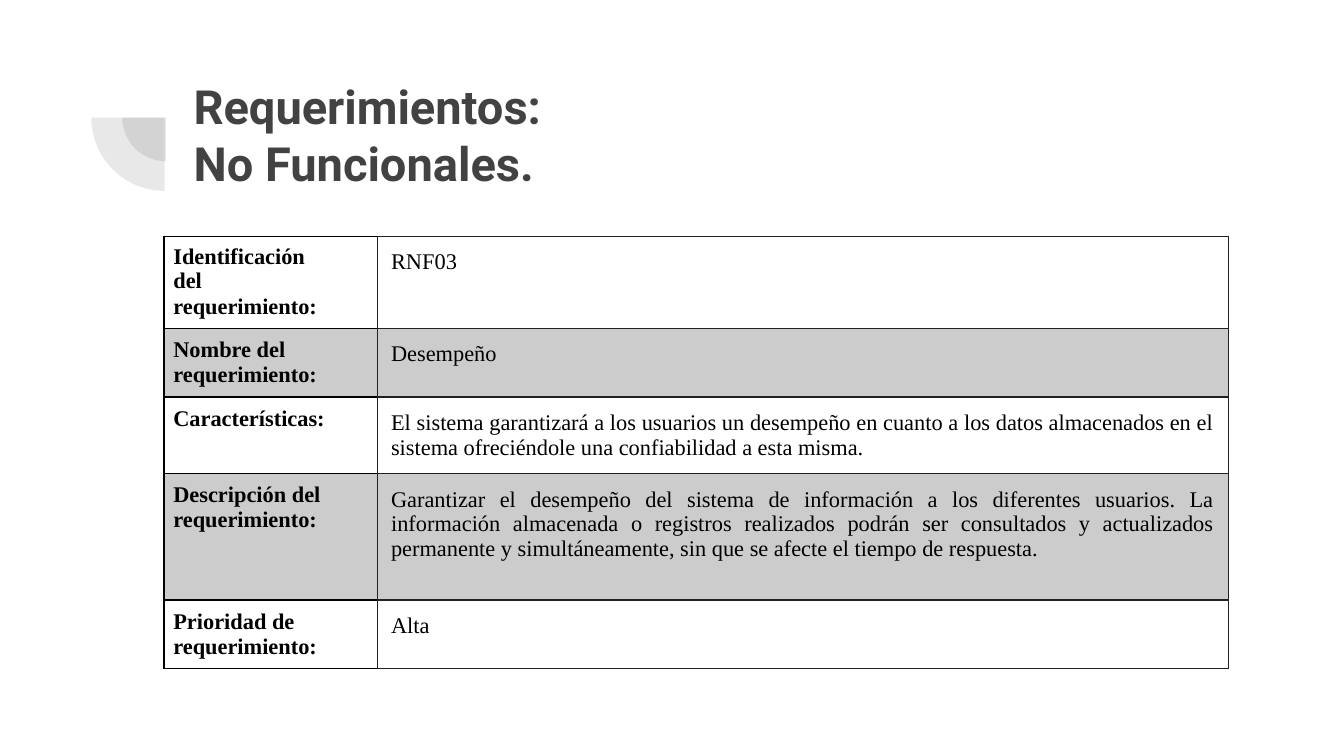
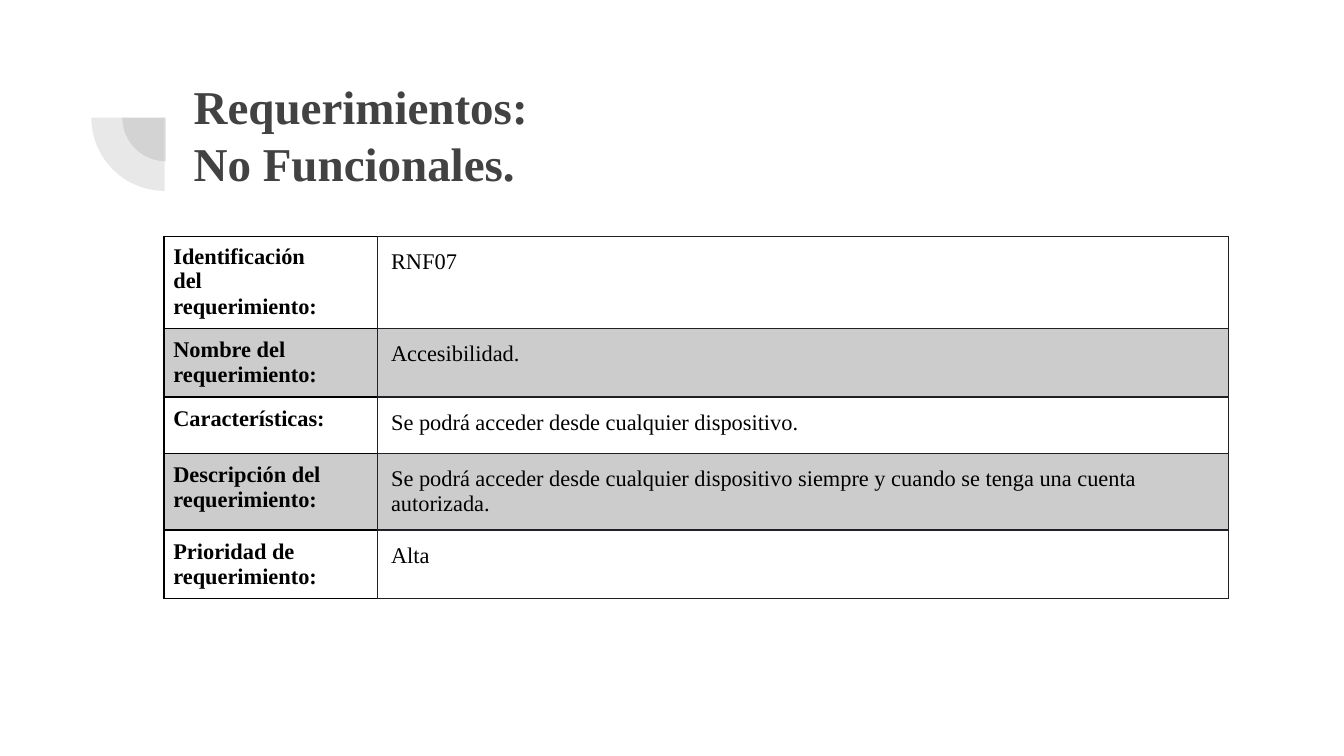
from dataclasses import dataclass

from lxml.etree import SubElement
from pptx import Presentation
from pptx.dml.color import RGBColor
from pptx.enum.shapes import MSO_SHAPE as Shape
from pptx.enum.text import MSO_ANCHOR as Anchor, MSO_AUTO_SIZE as AutoSize, PP_ALIGN as Align
from pptx.oxml.ns import qn
from pptx.util import Inches, Pt

DARK = "424242"
BLACK = "000000"
RULE = "202124"
BAND = "CCCCCC"
SERIF = "Times New Roman"
TITLE_LINES = ("Requerimientos:", "No Funcionales.")
LABELS = (
    ("Identificación del", "requerimiento:"),
    ("Nombre del", "requerimiento:"),
    ("Características:",),
    ("Descripción del requerimiento:",),
    ("Prioridad de", "requerimiento:"),
)
COLUMN_WIDTHS = (1.59, 6.33)


@dataclass(frozen=True)
class Pie:
    left: float
    top: float
    size: float


@dataclass(frozen=True)
class Border:
    color: str
    left: float
    other: float


@dataclass(frozen=True)
class Requirement:
    title_font: str
    values: tuple[str, ...]
    heights: tuple[float, ...]
    justified: bool


PIES = (Pie(0.91, 0.55, 0.65), Pie(0.68, 0.33, 1.09))
LABEL_BORDER = Border(BLACK, 1, 1)
VALUE_BORDER = Border(RULE, 1, 0.75)
REQUIREMENTS = (
    Requirement(
        "Roboto",
        (
            "RNF03",
            "Desempeño",
            "El sistema garantizará a los usuarios un desempeño en cuanto a los datos "
            "almacenados en el sistema ofreciéndole una confiabilidad a esta misma.",
            "Garantizar el desempeño del sistema de información a los diferentes usuarios. "
            "La información almacenada o registros realizados podrán ser consultados y "
            "actualizados permanente y simultáneamente, sin que se afecte el tiempo de respuesta.",
            "Alta",
        ),
        (0.68, 0.51, 0.57, 0.94, 0.51),
        True,
    ),
    Requirement(
        SERIF,
        (
            "RNF07",
            "Accesibilidad.",
            "Se podrá acceder desde cualquier dispositivo.",
            "Se podrá acceder desde cualquier dispositivo siempre y cuando se tenga "
            "una cuenta autorizada.",
            "Alta",
        ),
        (0.68, 0.51, 0.42, 0.57, 0.51),
        False,
    ),
)


def rgb(color: str) -> RGBColor:
    return RGBColor.from_string(color)


def write_lines(frame, lines, font: str, size: float, color: str, bold: bool) -> None:
    for index, line in enumerate(lines):
        para = frame.add_paragraph() if index else frame.paragraphs[0]
        span = para.add_run()
        span.text = line
        span.font.name = font
        span.font.size = Pt(size)
        span.font.bold = bold
        span.font.color.rgb = rgb(color)


def draw_pie(page, pie: Pie) -> None:
    size = Inches(pie.size)
    shape = page.shapes.add_shape(Shape.PIE, Inches(pie.left), Inches(pie.top), size, size)
    shape.adjustments[0] = 108
    shape.adjustments[1] = 162
    shape.rotation = 270
    shape.shadow.inherit = False
    shape.line.fill.background()
    shape.fill.solid()
    shape.fill.fore_color.rgb = rgb(DARK)
    tint = shape.fill._xPr.find(qn("a:solidFill"))[0]
    SubElement(tint, qn("a:alpha"), val="12000")


def write_title(page, font: str) -> None:
    title = page.shapes.title
    title.left, title.top = Inches(1.34), Inches(0.47)
    title.width, title.height = Inches(7.69), Inches(1.09)
    frame = title.text_frame
    frame.word_wrap = True
    frame.auto_size = AutoSize.NONE
    frame.vertical_anchor = Anchor.TOP
    frame.margin_left = frame.margin_right = Inches(0.1)
    frame.margin_top = frame.margin_bottom = Inches(0.1)
    write_lines(frame, TITLE_LINES, font, 25.2, DARK, True)
    for para in frame.paragraphs:
        para.alignment = Align.LEFT
        para.line_spacing = Pt(30.5)
        para.space_before = Pt(0)


def set_border(cell, border: Border) -> None:
    properties = cell._tc.get_or_add_tcPr()
    for side in "LRTB":
        width = border.left if side == "L" else border.other
        line = SubElement(properties, qn(f"a:ln{side}"), w=str(Pt(width)))
        fill = SubElement(line, qn("a:solidFill"))
        SubElement(fill, qn("a:srgbClr"), val=border.color)


def fill_cell(cell, lines, bold: bool, margin: float, border: Border, shaded: bool) -> None:
    cell.margin_left = cell.margin_right = Inches(margin)
    cell.margin_top = cell.margin_bottom = Inches(margin)
    cell.vertical_anchor = Anchor.TOP
    set_border(cell, border)
    if shaded:
        cell.fill.solid()
        cell.fill.fore_color.rgb = rgb(BAND)
    else:
        cell.fill.background()
    write_lines(cell.text_frame, lines, SERIF, 12, BLACK, bold)


def draw_table(page, requirement: Requirement) -> None:
    frame = page.shapes.add_table(
        len(LABELS), len(COLUMN_WIDTHS), Inches(1.22), Inches(1.76),
        Inches(sum(COLUMN_WIDTHS)), Inches(sum(requirement.heights)),
    )
    table = frame.table
    table.first_row = False
    table.horz_banding = False
    for column, width in zip(table.columns, COLUMN_WIDTHS):
        column.width = Inches(width)
    rows = zip(LABELS, requirement.values, requirement.heights)
    for index, (label, value, height) in enumerate(rows):
        table.rows[index].height = Inches(height)
        shaded = index % 2 == 1
        label_cell, value_cell = table.cell(index, 0), table.cell(index, 1)
        fill_cell(label_cell, label, True, 0.07, LABEL_BORDER, shaded)
        label_cell.margin_right = Inches(0.38)
        fill_cell(value_cell, (value,), False, 0.1, VALUE_BORDER, shaded)
        if requirement.justified and index in (2, 3):
            value_cell.text_frame.paragraphs[0].alignment = Align.JUSTIFY
    first_label, second_label = table.cell(0, 0).text_frame.paragraphs
    first_label.line_spacing = 0.96
    second_label.space_before = Pt(0.3)


def main() -> None:
    deck = Presentation()
    deck.slide_width = Inches(10)
    deck.slide_height = deck.slide_width * 9 // 16
    for requirement in REQUIREMENTS:
        page = deck.slides.add_slide(deck.slide_layouts[5])
        for pie in PIES:
            draw_pie(page, pie)
        write_title(page, requirement.title_font)
        draw_table(page, requirement)
    deck.save("out.pptx")


if __name__ == "__main__":
    main()
